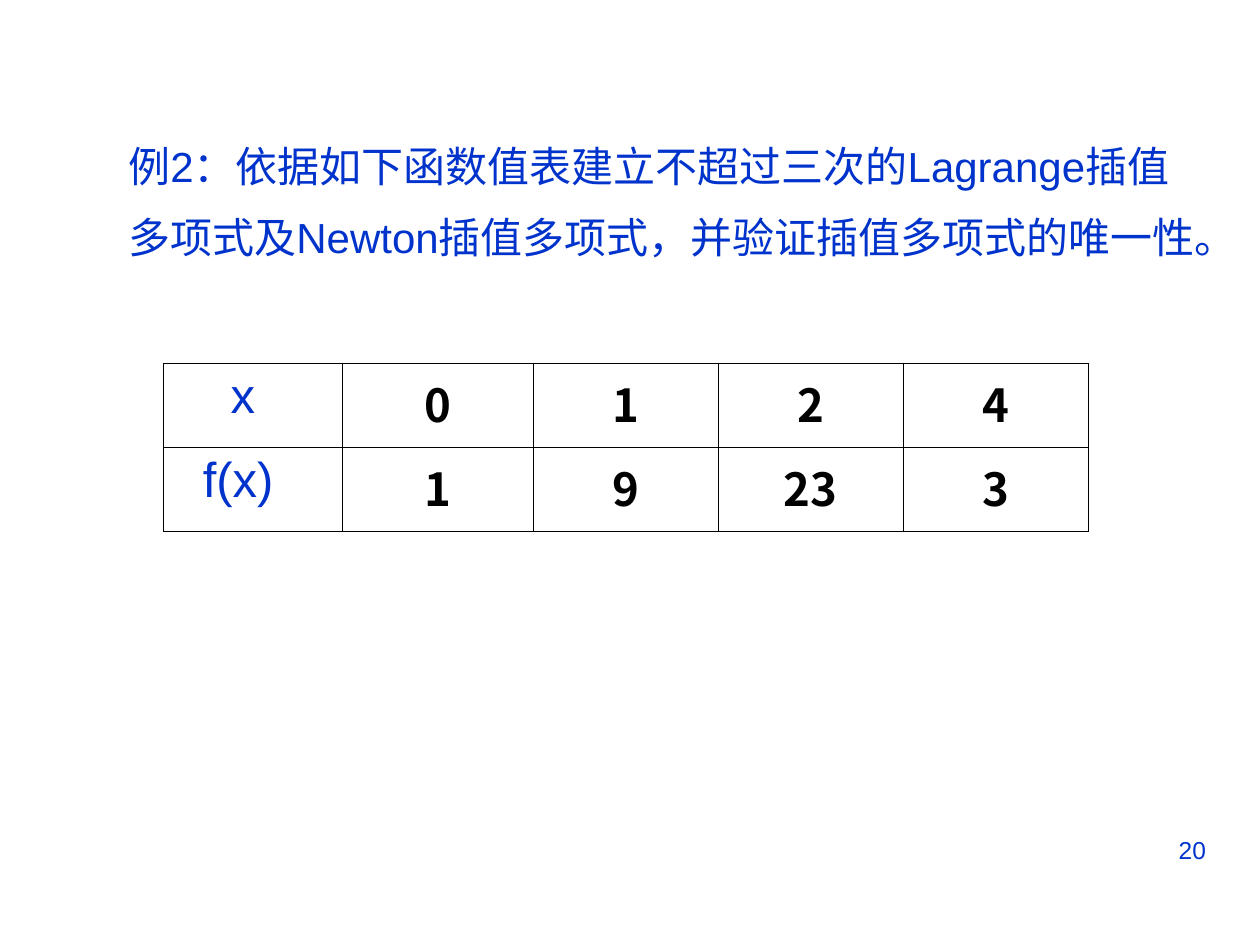
from lxml.etree import SubElement
from pptx import Presentation
from pptx.dml.color import RGBColor
from pptx.enum.text import MSO_AUTO_SIZE, PP_ALIGN
from pptx.oxml.ns import qn
from pptx.util import Inches, Pt

BLUE = RGBColor(0x00, 0x33, 0xCC)
BLACK = RGBColor(0x00, 0x00, 0x00)
LATIN_FONT = "Arial"
CJK_FONT = "Noto Sans CJK SC"


def format_runs(paragraph, size, color=BLUE, font_name=LATIN_FONT, bold=False):
    for run in paragraph.runs:
        run.font.size = Pt(size)
        run.font.name = font_name
        run.font.bold = bold
        run.font.color.rgb = color
        SubElement(run.font._element, qn("a:ea"), typeface=CJK_FONT)


def add_borders(cell):
    properties = cell._tc.get_or_add_tcPr()
    for position, side in enumerate(("a:lnL", "a:lnR", "a:lnT", "a:lnB")):
        line = properties.makeelement(qn(side), {"w": str(Pt(0.45))})
        fill = SubElement(line, qn("a:solidFill"))
        SubElement(fill, qn("a:srgbClr"), val=str(BLACK))
        properties.insert(position, line)


presentation = Presentation()
presentation.slide_width = Inches(10)
presentation.slide_height = Inches(7.5)
slide = presentation.slides.add_slide(presentation.slide_layouts[6])

# Problem statement
statement = slide.shapes.add_textbox(Inches(0.92), Inches(0.91), Inches(9.15), Inches(1.22))
text_frame = statement.text_frame
text_frame.word_wrap = False
text_frame.auto_size = MSO_AUTO_SIZE.SHAPE_TO_FIT_TEXT
text_frame.text = (
    "例2：依据如下函数值表建立不超过三次的Lagrange插值\n"
    "多项式及Newton插值多项式，并验证插值多项式的唯一性。"
)
for paragraph in text_frame.paragraphs:
    paragraph.line_spacing = 1.4
    format_runs(paragraph, 24)

# Table of function values
rows = [("x", 0, 1, 2, 4), ("f(x)", 1, 9, 23, 3)]
column_widths = [1.42, 1.51, 1.47, 1.47, 1.47]
label_margins = [0.53, 0.31]
table = slide.shapes.add_table(
    len(rows), len(column_widths), Inches(1.3), Inches(2.88), Inches(7.35), Inches(1.34)
).table
table.first_row = False
table.horz_banding = False
for column, width in zip(table.columns, column_widths):
    column.width = Inches(width)

for row_index, values in enumerate(rows):
    table.rows[row_index].height = Inches(0.67)
    for column_index, value in enumerate(values):
        cell = table.cell(row_index, column_index)
        cell.fill.background()
        add_borders(cell)
        cell.text_frame.text = str(value)
        paragraph = cell.text_frame.paragraphs[0]
        if column_index == 0:
            cell.margin_left = Inches(label_margins[row_index])
            format_runs(paragraph, 28)
        else:
            paragraph.alignment = PP_ALIGN.CENTER
            format_runs(paragraph, 26, BLACK, CJK_FONT, bold=True)

# Slide number
number_box = slide.shapes.add_textbox(Inches(7.17), Inches(6.58), Inches(2.5), Inches(0.52))
number_box.text_frame.word_wrap = True
number_box.text_frame.text = "20"
paragraph = number_box.text_frame.paragraphs[0]
paragraph.alignment = PP_ALIGN.RIGHT
format_runs(paragraph, 14)

presentation.save("out.pptx")
